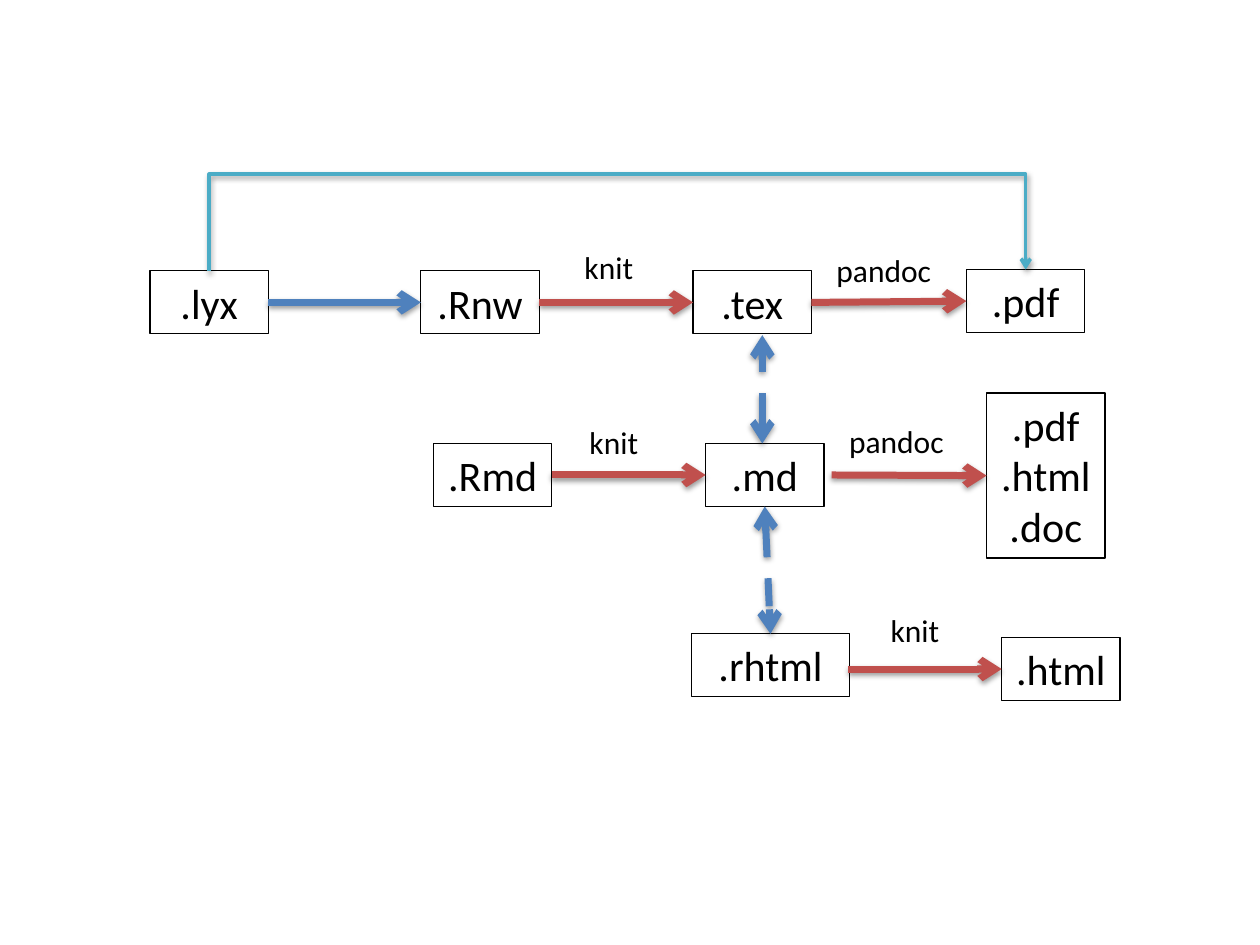
from lxml.etree import SubElement
from pptx import Presentation
from pptx.dml.color import RGBColor
from pptx.enum.dml import MSO_LINE
from pptx.enum.shapes import MSO_CONNECTOR, MSO_SHAPE
from pptx.enum.text import MSO_ANCHOR, MSO_AUTO_SIZE, PP_ALIGN
from pptx.oxml.ns import qn
from pptx.util import Inches, Pt

BLACK = RGBColor(0x00, 0x00, 0x00)
RED = RGBColor(0xC0, 0x50, 0x4D)
BLUE = RGBColor(0x4F, 0x81, 0xBD)
TEAL = RGBColor(0x4B, 0xAC, 0xC6)
TOP, LEFT, BOTTOM, RIGHT = range(4)


class Diagram:
    font = "Calibri"
    format_size = Pt(24)
    label_size = Pt(18)

    def __init__(self, slide):
        self.slide = slide

    def add_text(self, paragraph, text, size):
        run = paragraph.add_run()
        run.text = text
        run.font.name = self.font
        run.font.size = size
        run.font.color.rgb = BLACK

    def format_box(self, left, top, *formats, width=0.94, height=0.5):
        """Outlined box that lists one file format per paragraph."""
        shape = self.slide.shapes.add_shape(
            MSO_SHAPE.RECTANGLE, Inches(left), Inches(top), Inches(width), Inches(height))
        shape.shadow.inherit = False
        shape.fill.background()
        shape.line.color.rgb = BLACK
        shape.line.width = Pt(0.75)
        frame = shape.text_frame
        frame.word_wrap = True
        frame.auto_size = MSO_AUTO_SIZE.SHAPE_TO_FIT_TEXT
        frame.vertical_anchor = MSO_ANCHOR.TOP
        for index, text in enumerate(formats):
            paragraph = frame.add_paragraph() if index else frame.paragraphs[0]
            paragraph.alignment = PP_ALIGN.CENTER
            self.add_text(paragraph, text, self.format_size)
        return shape

    def label(self, left, top, text, width):
        shape = self.slide.shapes.add_textbox(
            Inches(left), Inches(top), Inches(width), Inches(0.4))
        frame = shape.text_frame
        frame.word_wrap = False
        frame.auto_size = MSO_AUTO_SIZE.SHAPE_TO_FIT_TEXT
        self.add_text(frame.paragraphs[0], text, self.label_size)

    def style_arrow(self, connector, color, width, two_way=False):
        """Set colour, arrowheads and a soft shadow; two-way arrows are dashed."""
        connector.line.color.rgb = color
        connector.line.width = Pt(width)
        if two_way:
            connector.line.dash_style = MSO_LINE.DASH
        properties = connector._element.spPr
        outline = properties.find(qn("a:ln"))
        for end in ("a:headEnd", "a:tailEnd") if two_way else ("a:tailEnd",):
            SubElement(outline, qn(end), type="arrow")
        effects = SubElement(properties, qn("a:effectLst"))
        shadow = SubElement(effects, qn("a:outerShdw"), blurRad=str(Pt(3.1)),
                            dist=str(Pt(1.6)), dir="5400000", rotWithShape="0")
        shadow_color = SubElement(shadow, qn("a:srgbClr"), val=str(BLACK))
        SubElement(shadow_color, qn("a:alpha"), val="38000")

    def arrow(self, start, end, color, two_way=False):
        """Draw a straight arrow; each end is a point or a (box, side) pair."""
        connector = self.slide.shapes.add_connector(MSO_CONNECTOR.STRAIGHT, 0, 0, 0, 0)
        if isinstance(start[0], float):
            connector.begin_x, connector.begin_y = map(Inches, start)
        else:
            connector.begin_connect(*start)
        if isinstance(end[0], float):
            connector.end_x, connector.end_y = map(Inches, end)
        else:
            connector.end_connect(*end)
        self.style_arrow(connector, color, 4, two_way)

    def overhead_arrow(self, left, right, start_y, end_y, peak_y, color):
        """Draw an elbow arrow that rises, runs right and drops again.

        The elbow is laid out upright and then turned by a quarter."""
        center_x, center_y = (left + right) / 2, (start_y + end_y) / 2
        half_span, half_drop = (right - left) / 2, (start_y - end_y) / 2
        connector = self.slide.shapes.add_connector(
            MSO_CONNECTOR.ELBOW,
            Inches(center_x + half_drop), Inches(center_y + half_span),
            Inches(center_x - half_drop), Inches(center_y - half_span))
        properties = connector._element.spPr
        properties.find(qn("a:xfrm")).set("rot", "5400000")
        bend = round((start_y - peak_y) / (start_y - end_y) * 100000)
        adjustments = properties.find(qn("a:prstGeom")).find(qn("a:avLst"))
        SubElement(adjustments, qn("a:gd"), name="adj1", fmla=f"val {bend}")
        self.style_arrow(connector, color, 2)


def main():
    presentation = Presentation()
    presentation.slide_width = Inches(10)
    presentation.slide_height = Inches(7.5)
    diagram = Diagram(presentation.slides.add_slide(presentation.slide_layouts[6]))

    lyx = diagram.format_box(1.19, 2.15, ".lyx")
    rnw = diagram.format_box(3.34, 2.15, ".Rnw")
    tex = diagram.format_box(5.5, 2.15, ".tex")
    pdf = diagram.format_box(7.67, 2.14, ".pdf")
    rmd = diagram.format_box(3.44, 3.52, ".Rmd")
    md = diagram.format_box(5.6, 3.52, ".md")
    documents = diagram.format_box(7.83, 3.12, ".pdf", ".html", ".doc", height=1.31)
    rhtml = diagram.format_box(5.49, 5.03, ".rhtml", width=1.25)
    html = diagram.format_box(7.95, 5.06, ".html")

    for start, end, color in (
        ((lyx, RIGHT), (rnw, LEFT), BLUE),
        ((rnw, RIGHT), (tex, LEFT), RED),
        ((tex, RIGHT), (pdf, LEFT), RED),
        ((rmd, RIGHT), (md, LEFT), RED),
        ((6.6, 3.77), (documents, LEFT), RED),
        ((6.73, 5.31), (html, LEFT), RED),
    ):
        diagram.arrow(start, end, color)
    diagram.arrow((md, BOTTOM), (rhtml, TOP), BLUE, two_way=True)
    diagram.arrow((6.05, 3.52), (6.05, 2.66), BLUE, two_way=True)
    diagram.overhead_arrow(1.66, 8.14, 2.15, 2.14, 1.37, TEAL)

    for left, top in ((4.54, 1.92), (4.58, 3.31), (6.97, 4.8)):
        diagram.label(left, top, "knit", 0.59)
    for left, top in ((6.54, 1.94), (6.64, 3.3)):
        diagram.label(left, top, "pandoc", 0.96)

    presentation.save("out.pptx")


if __name__ == "__main__":
    main()
